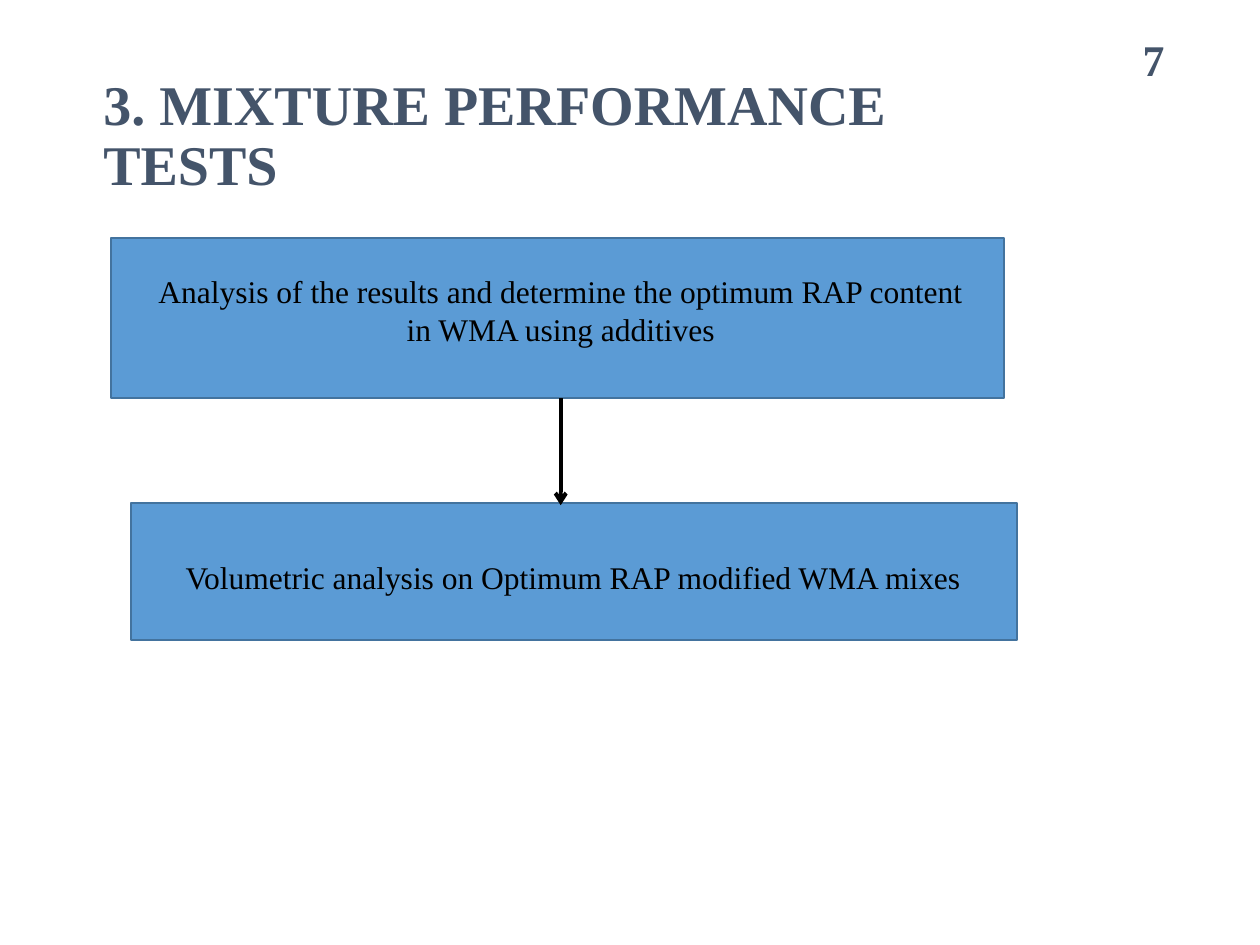
"""Build the mixture performance tests slide: two steps joined by an arrow."""
from lxml.etree import SubElement
from pptx import Presentation
from pptx.dml.color import RGBColor
from pptx.enum.shapes import MSO_CONNECTOR as CONN, MSO_SHAPE as SHAPE
from pptx.enum.text import MSO_ANCHOR as ANCHOR, PP_ALIGN as ALIGN
from pptx.oxml.ns import qn
from pptx.util import Inches, Pt

prs = Presentation()
prs.slide_width, prs.slide_height = W, H = Inches(10), Inches(7.5)
slide = prs.slides.add_slide(prs.slide_layouts[5])


def rgb(value):
    return RGBColor.from_string(value)


def write(sp, text, size, color, bold, align, anchor):
    tf = sp.text_frame
    tf.word_wrap = True
    tf.vertical_anchor = anchor
    tf.text = text
    p = tf.paragraphs[0]
    p.alignment = align
    font = p.runs[0].font
    font.name, font.size, font.bold = "Times New Roman", Pt(size), bold
    font.color.rgb = rgb(color)
    return p


title = slide.shapes.title
title.left, title.top = int(W * 0.072), Inches(0.37)
title.width, title.height = int(W * 0.746), Inches(1.44)
p = write(title, "3. MIXTURE PERFORMANCE TESTS", 32, "44546A", True, ALIGN.LEFT, ANCHOR.MIDDLE)
p.line_spacing = 0.9

number = slide.shapes.add_textbox(int(W * 0.878), Inches(0.27), int(W * 0.056), Inches(0.4))
write(number, "7", 25, "44546A", True, ALIGN.RIGHT, ANCHOR.MIDDLE)

steps = [
    ("Analysis of the results and determine the optimum RAP content in WMA using additives",
     (0.88, 1.89, 7.09, 1.27), (1.09, 2.11, 6.72, 1.01)),
    ("Volumetric analysis on Optimum RAP modified WMA mixes",
     (1.04, 3.99, 7.03, 1.09), (1.23, 4.38, 6.64, 0.4)),
]
for text, box, label in steps:
    sp = slide.shapes.add_shape(SHAPE.RECTANGLE, *map(Inches, box))
    sp.shadow.inherit = False
    sp.fill.solid()
    sp.fill.fore_color.rgb = rgb("5B9BD5")
    sp.line.color.rgb = rgb("43739E")
    sp.line.width = Pt(1)
    tb = slide.shapes.add_textbox(*map(Inches, label))
    write(tb, text, 18, "000000", False, ALIGN.CENTER, ANCHOR.TOP)

x = int(W * 0.445)
arrow = slide.shapes.add_connector(CONN.STRAIGHT, x, Inches(3.16), x, Inches(4.01))
arrow.line.color.rgb = rgb("000000")
arrow.line.width = Pt(2.25)
SubElement(arrow.line._get_or_add_ln(), qn("a:tailEnd"), type="arrow")
SubElement(arrow._element.spPr, qn("a:effectLst"))

prs.save("out.pptx")
